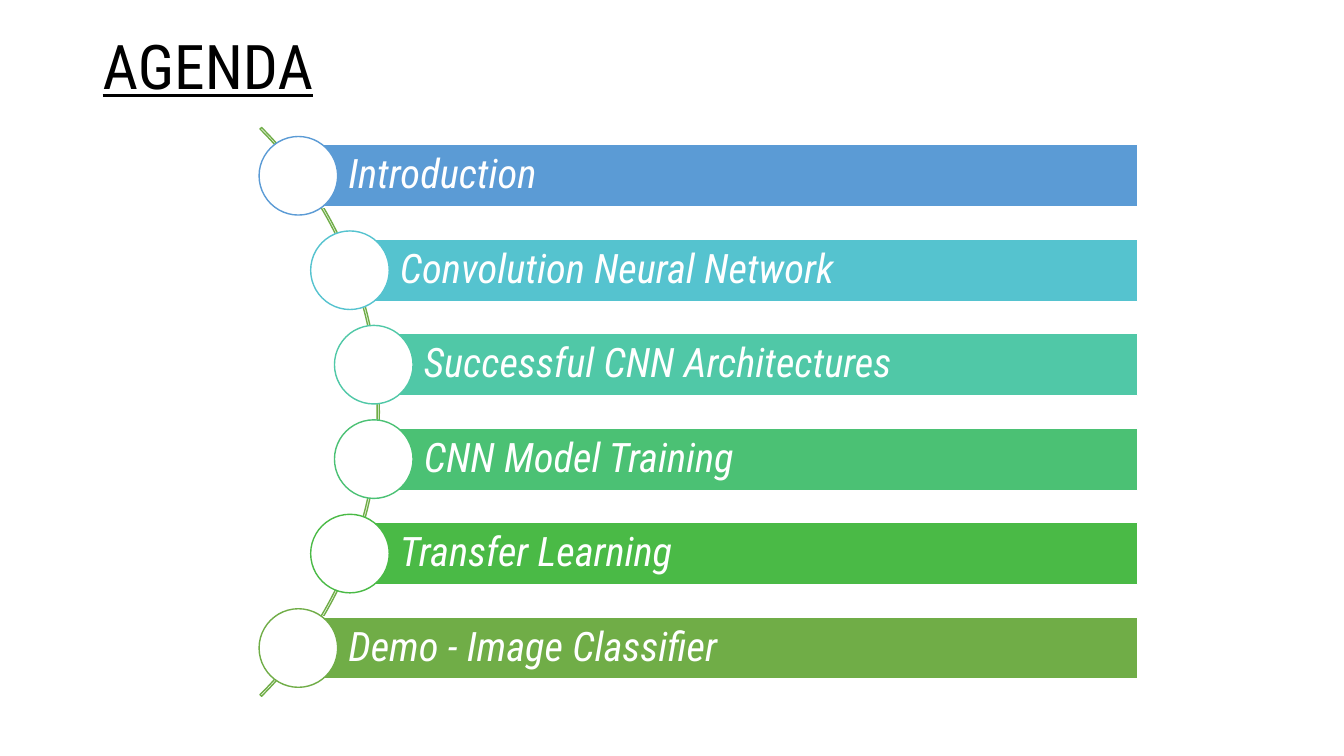
from pptx import Presentation
from pptx.dml.color import RGBColor
from pptx.enum.shapes import MSO_SHAPE
from pptx.enum.text import MSO_ANCHOR, PP_ALIGN
from pptx.util import Cm, Pt

COLORS = {
    "white": "FFFFFF", "black": "000000", "blue": "5B9BD5", "cyan": "55C3CF",
    "teal": "50C8A7", "mint": "4BC174", "green": "4ABA46", "olive": "70AD47",
}
FONT = "Roboto Condensed"
ITEMS = [
    ("Introduction", "blue", 7.52),
    ("Convolution Neural Network", "cyan", 8.82),
    ("Successful CNN Architectures", "teal", 9.42),
    ("CNN Model Training", "mint", 9.42),
    ("Transfer Learning", "green", 8.82),
    ("Demo - Image Classifier", "olive", 7.52),
]
FIRST, PITCH, RIGHT = 4.43, 2.38, 28.67
BAR, DOT, ARC = 1.57, 1.98, 20.27


def color(name):
    """Return the named colour."""
    return RGBColor.from_string(COLORS[name])


def write(shape, text, size, ink, left=0.25, italic=None, under=None):
    """Put one formatted line of text into a shape."""
    frame = shape.text_frame
    frame.word_wrap = True
    frame.vertical_anchor = MSO_ANCHOR.MIDDLE
    frame.margin_left = Cm(left)
    frame.margin_right = Cm(0.2)
    line = frame.paragraphs[0]
    line.alignment = PP_ALIGN.LEFT
    line.line_spacing = 0.9
    run = line.add_run()
    run.text = text
    font = run.font
    font.name, font.size = FONT, Pt(size)
    font.italic, font.underline = italic, under
    font.color.rgb = color(ink)


def draw(slide, kind, box, line, fill=None):
    """Add a preset shape with a thin outline."""
    shape = slide.shapes.add_shape(kind, *map(Cm, box))
    shape.shadow.inherit = False
    shape.line.color.rgb = color(line)
    shape.line.width = Pt(1)
    if fill:
        shape.fill.solid()
        shape.fill.fore_color.rgb = color(fill)
    else:
        shape.fill.background()
    return shape


def add_arc(slide):
    """Add the thin arc that links the dots."""
    mid = FIRST + PITCH * (len(ITEMS) - 1) / 2
    box = (-10.71, mid - ARC / 2, ARC, ARC)
    arc = draw(slide, MSO_SHAPE.BLOCK_ARC, box, "olive")
    for i, value in enumerate((189, 27, 0.0027)):
        arc.adjustments[i] = value


def add_item(slide, text, tint, left, mid):
    """Add one agenda bar and its dot."""
    box = (left, mid - BAR / 2, RIGHT - left, BAR)
    bar = draw(slide, MSO_SHAPE.RECTANGLE, box, "white", tint)
    write(bar, text, 29, "white", left=1.26, italic=True)
    box = (left - DOT / 2, mid - DOT / 2, DOT, DOT)
    draw(slide, MSO_SHAPE.OVAL, box, tint, "white")


def main():
    """Build the agenda slide."""
    deck = Presentation()
    deck.slide_width, deck.slide_height = Cm(33.87), Cm(19.05)
    slide = deck.slides.add_slide(deck.slide_layouts[6])
    title = slide.shapes.add_textbox(Cm(2.34), Cm(0.51), Cm(29.21), Cm(2.48))
    write(title, "AGENDA", 44, "black", under=True)
    add_arc(slide)
    for i, (text, tint, left) in enumerate(ITEMS):
        add_item(slide, text, tint, left, FIRST + PITCH * i)
    deck.save("out.pptx")


if __name__ == "__main__":
    main()
